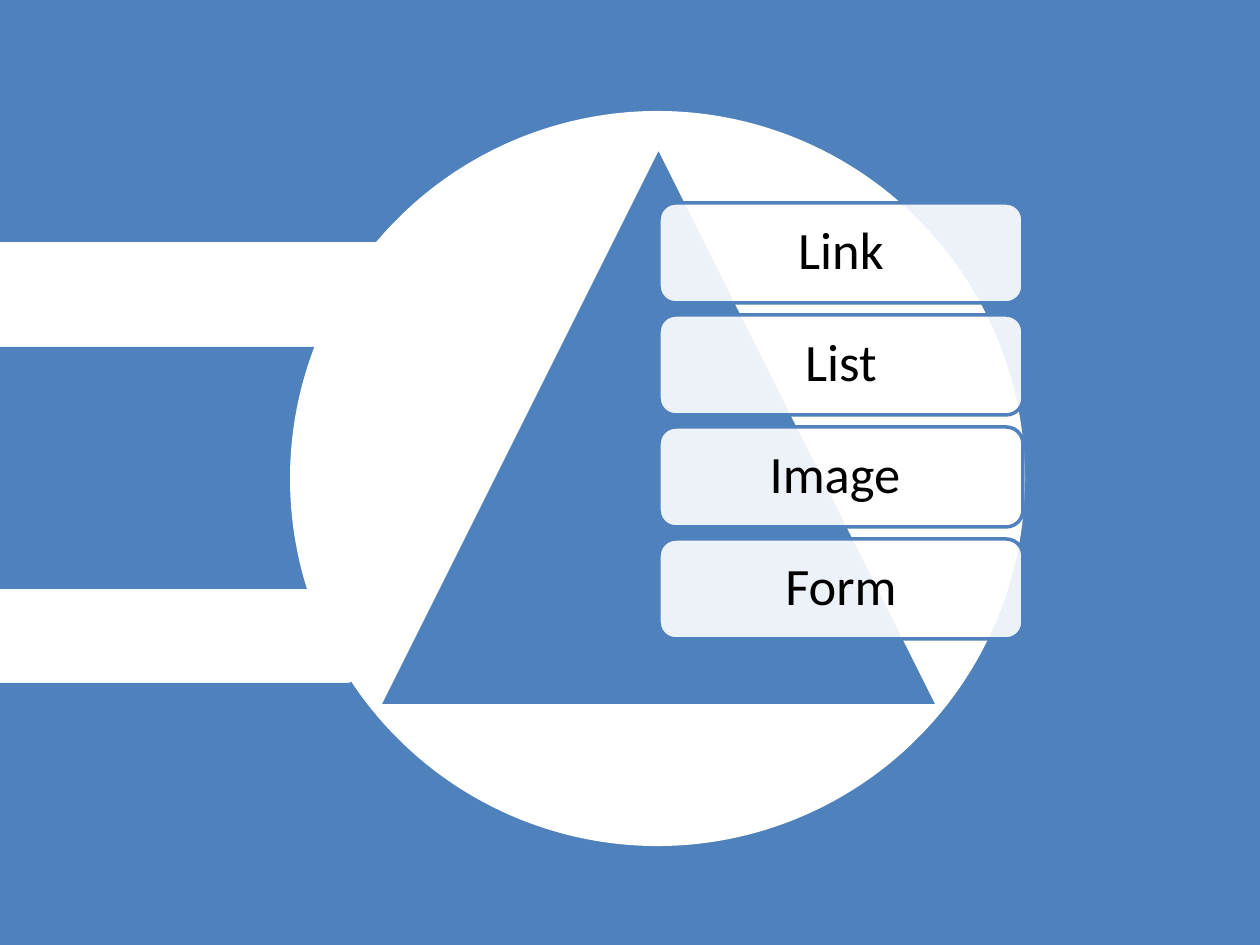
from pptx import Presentation
from pptx.dml.color import RGBColor
from pptx.enum.shapes import MSO_SHAPE
from pptx.enum.text import MSO_ANCHOR, PP_ALIGN
from pptx.oxml.ns import qn
from pptx.util import Emu, Pt
from lxml import etree

TRIANGLE = MSO_SHAPE.ISOSCELES_TRIANGLE
RECTANGLE = MSO_SHAPE.RECTANGLE
OVAL = MSO_SHAPE.OVAL
ROUNDED = MSO_SHAPE.ROUNDED_RECTANGLE
MIDDLE = MSO_ANCHOR.MIDDLE
CENTER = PP_ALIGN.CENTER

PX = 914400 / 126
COLORS = {"blue": "4F81BD", "white": "FFFFFF", "black": "000000"}


def px(length):
    return Emu(round(length * PX))


def add_shape(kind, left, top, width, height, fill, line=None):
    shape = page.shapes.add_shape(kind, px(left), px(top), px(width), px(height))
    shape.shadow.inherit = False
    shape.fill.solid()
    shape.fill.fore_color.rgb = RGBColor.from_string(COLORS[fill])
    if line:
        shape.line.color.rgb = RGBColor.from_string(COLORS[line])
        shape.line.width = Pt(2)
    else:
        shape.line.fill.background()
    return shape


deck = Presentation()
deck.slide_width, deck.slide_height = px(1260), px(945)
page = deck.slides.add_slide(deck.slide_layouts[6])

# Blue backdrop: a right triangle and bands that leave two white bars
backdrop = add_shape(TRIANGLE, 0, 0, 1260, 945, "blue")
backdrop.adjustments[0] = 1
for top, width, height in [(347, 494, 242), (683, 388, 262), (0, 1260, 242)]:
    add_shape(RECTANGLE, 0, top, width, height, "blue")

# Disc and pyramid
add_shape(OVAL, 290, 111, 735, 735, "white")
add_shape(TRIANGLE, 379, 147, 559, 559, "blue", "white")

# Translucent labels stacked on the pyramid
for row, label in enumerate(["Link", "List", "Image ", "Form"]):
    box = add_shape(ROUNDED, 659, 203 + 112 * row, 364, 100, "white", "blue")
    color = box.fill._xPr.find(qn("a:solidFill"))[0]
    etree.SubElement(color, qn("a:alpha"), val="90000")

    frame = box.text_frame
    frame.word_wrap = True
    frame.vertical_anchor = MIDDLE
    frame.margin_left = frame.margin_right = px(20)
    frame.margin_top = frame.margin_bottom = px(20)
    frame.text = label
    para = frame.paragraphs[0]
    para.alignment = CENTER
    para.line_spacing = 0.9
    para.font.name = "Calibri"
    para.font.size = Pt(30)
    para.font.color.rgb = RGBColor.from_string(COLORS["black"])

deck.save("out.pptx")
